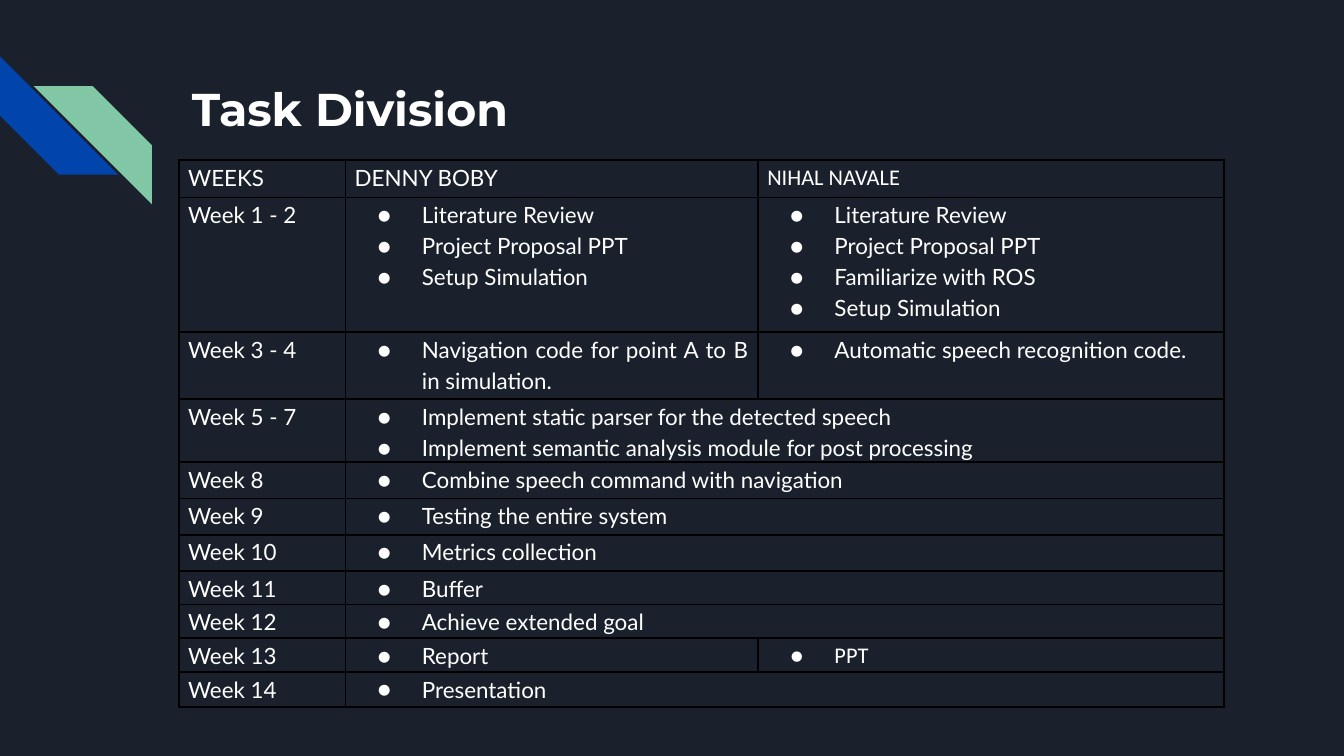
from lxml.etree import SubElement
from pptx import Presentation
from pptx.dml.color import RGBColor
from pptx.enum.shapes import MSO_SHAPE as Shape
from pptx.enum.text import PP_ALIGN as Align
from pptx.oxml import parse_xml
from pptx.oxml.ns import nsdecls, qn
from pptx.util import Inches, Pt

COLORS = {
    "background": "1B212C",
    "blue": "0145AC",
    "green": "82C7A5",
    "text": "FFFFFF",
    "border": "000000",
}
COLUMN_WIDTHS = [1.24, 3.07, 3.47]
ROW_HEIGHTS = [0.28, 1, 0.5, 0.47] + [0.27] * 3 + [0.25] * 3 + [0.26]
HEADERS = [("WEEKS", "Lato"), ("DENNY BOBY", "Lato"), ("NIHAL NAVALE", "Calibri")]
SCHEDULE = [
    ("Week 1 - 2",
     ["Literature Review", "Project Proposal PPT", "Setup Simulation"],
     ["Literature Review", "Project Proposal PPT", "Familiarize with ROS", "Setup Simulation"]),
    ("Week 3 - 4",
     ["Navigation code for point A to B in simulation."],
     ["Automatic speech recognition code."]),
    ("Week 5 - 7",
     ["Implement static parser for the detected speech",
      "Implement semantic analysis module for post processing"], None),
    ("Week 8", ["Combine speech command with navigation"], None),
    ("Week 9", ["Testing the entire system"], None),
    ("Week 10", ["Metrics collection"], None),
    ("Week 11", ["Buffer"], None),
    ("Week 12", ["Achieve extended goal"], None),
    ("Week 13", ["Report"], ["PPT"]),
    ("Week 14", ["Presentation"], None),
]


def color(name):
    return RGBColor.from_string(COLORS[name])


class SlideBuilder:
    def __init__(self, slide):
        self.slide = slide
        fill = slide.background.fill
        fill.solid()
        fill.fore_color.rgb = color("background")

    def run(self, paragraph, text, size=12, font="Lato", bold=False):
        run = paragraph.add_run()
        run.text = text
        run.font.size = Pt(size)
        run.font.name = font
        run.font.bold = bold
        run.font.color.rgb = color("text")

    def stripe(self, left, top, fill, rotation=0, flipped=False):
        shape = self.slide.shapes.add_shape(
            Shape.DIAGONAL_STRIPE, Inches(left), Inches(top), Inches(0.88), Inches(0.88))
        shape.adjustments[0] = 0.5
        shape.rotation = rotation
        shape.shadow.inherit = False
        shape.fill.solid()
        shape.fill.fore_color.rgb = color(fill)
        shape.line.fill.background()
        if flipped:
            shape._element.spPr.xfrm.set("flipH", "1")

    def title(self, text):
        box = self.slide.shapes.add_textbox(Inches(1.33), Inches(0.5), Inches(7.7), Inches(0.47))
        frame = box.text_frame
        frame.word_wrap = True
        frame.margin_left = frame.margin_right = Inches(0.1)
        frame.margin_top = frame.margin_bottom = Inches(0.1)
        self.run(frame.paragraphs[0], text, 24.6, "Montserrat", True)

    def table(self, left, top):
        frame = self.slide.shapes.add_table(
            len(ROW_HEIGHTS), len(COLUMN_WIDTHS), Inches(left), Inches(top),
            Inches(sum(COLUMN_WIDTHS)), Inches(sum(ROW_HEIGHTS)))
        table = frame.table
        table.first_row = table.horz_banding = False
        for column, width in zip(table.columns, COLUMN_WIDTHS):
            column.width = Inches(width)
        for row, height in zip(table.rows, ROW_HEIGHTS):
            row.height = Inches(height)
        for cell in table.iter_cells():
            self.style_cell(cell)
        return table

    def style_cell(self, cell):
        cell.margin_left = cell.margin_right = Inches(0.07)
        cell.margin_top = cell.margin_bottom = 0
        cell.fill.background()
        properties = cell._tc.get_or_add_tcPr()
        for index, side in enumerate(("lnL", "lnR", "lnT", "lnB")):
            properties.insert(index, parse_xml(
                f'<a:{side} {nsdecls("a")} w="{Pt(1)}"><a:solidFill>'
                f'<a:srgbClr val="{COLORS["border"]}"/></a:solidFill></a:{side}>'))

    def cell_text(self, cell, lines, font="Lato", bulleted=False):
        frame = cell.text_frame
        for index, line in enumerate(lines):
            paragraph = frame.add_paragraph() if index else frame.paragraphs[0]
            if bulleted:
                self.bullet(paragraph, font)
            paragraph.alignment = Align.JUSTIFY
            paragraph.line_spacing = 1.15
            self.run(paragraph, line, font=font)

    def bullet(self, paragraph, font):
        properties = paragraph._p.get_or_add_pPr()
        properties.set("marL", str(Inches(0.5)))
        properties.set("indent", str(Inches(-0.33)))
        bullet_color = SubElement(properties, qn("a:buClr"))
        SubElement(bullet_color, qn("a:srgbClr"), val=COLORS["text"])
        SubElement(properties, qn("a:buSzPts"), val="1200")
        SubElement(properties, qn("a:buFont"), typeface=font)
        SubElement(properties, qn("a:buChar"), char="●")


def main():
    presentation = Presentation()
    presentation.slide_width = Inches(10)
    presentation.slide_height = Inches(10) * 9 // 16
    builder = SlideBuilder(presentation.slides.add_slide(presentation.slide_layouts[6]))
    builder.stripe(0, 0.42, "blue", rotation=270)
    builder.stripe(0.25, 0.64, "green", flipped=True)
    builder.title("Task Division")

    table = builder.table(1.33, 1.19)
    for column, (header, font) in enumerate(HEADERS):
        builder.cell_text(table.cell(0, column), [header], font)
    for row, (week, first_tasks, second_tasks) in enumerate(SCHEDULE, 1):
        builder.cell_text(table.cell(row, 0), [week])
        builder.cell_text(table.cell(row, 1), first_tasks, bulleted=True)
        if second_tasks is None:
            table.cell(row, 1).merge(table.cell(row, 2))
        else:
            font = "Calibri" if second_tasks == ["PPT"] else "Lato"
            builder.cell_text(table.cell(row, 2), second_tasks, font, True)
    presentation.save("out.pptx")


if __name__ == "__main__":
    main()
